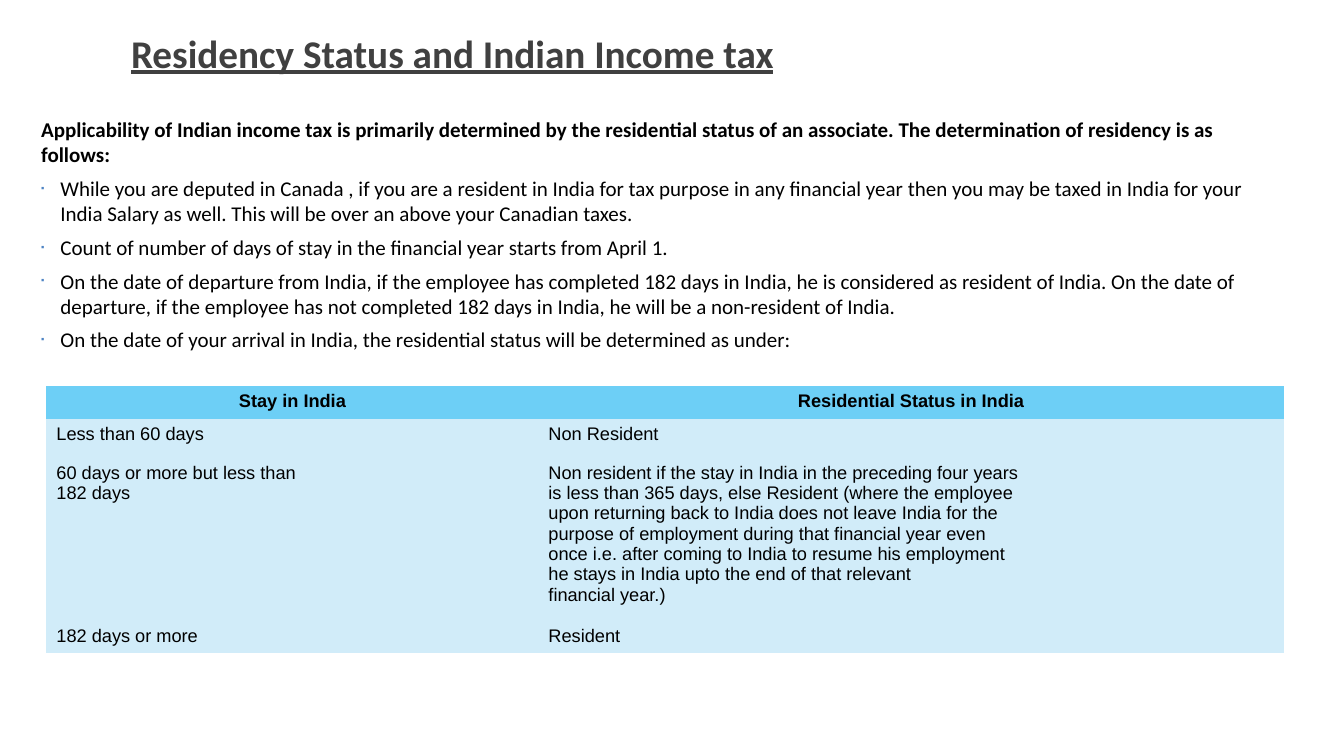
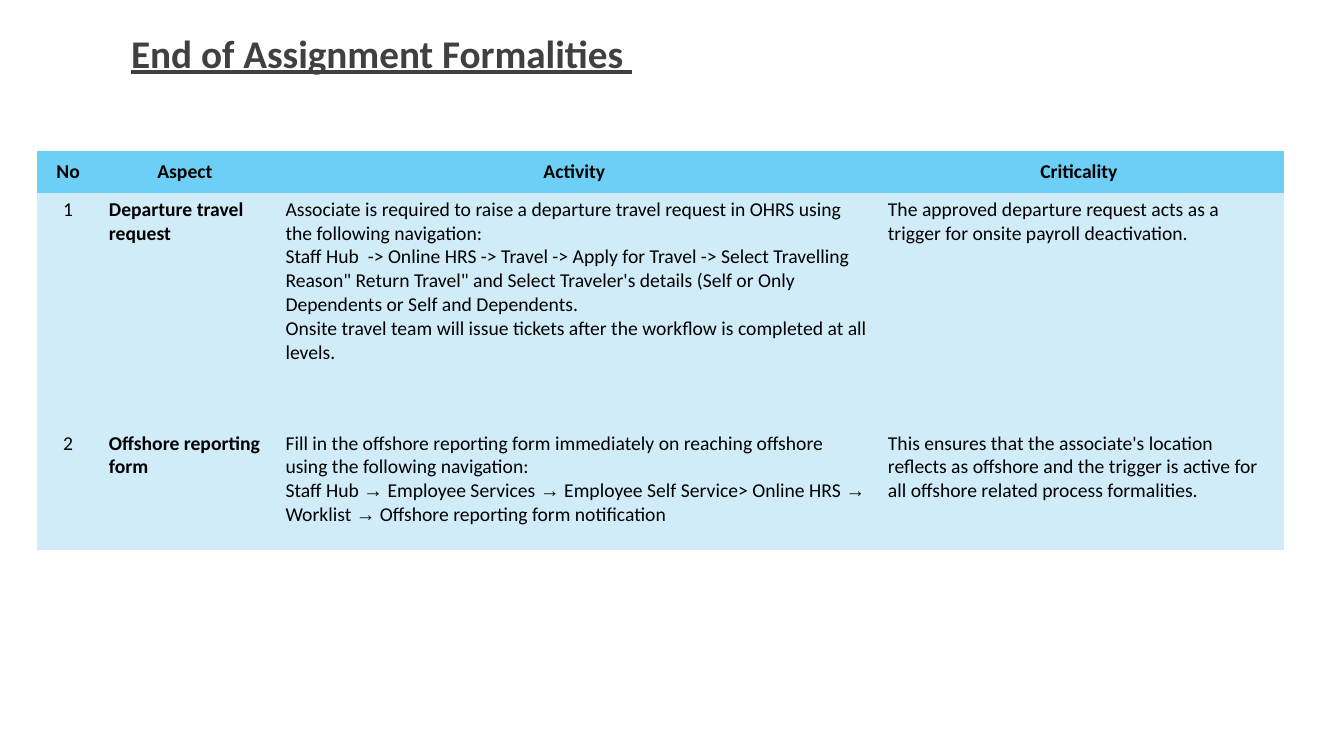
from dataclasses import dataclass

from lxml.etree import SubElement
from pptx import Presentation
from pptx.dml.color import RGBColor
from pptx.enum.text import MSO_ANCHOR, MSO_AUTO_SIZE, PP_ALIGN
from pptx.oxml.ns import qn
from pptx.util import Inches, Pt

# Shared look
TITLE_GREY = RGBColor(0x40, 0x40, 0x40)
BLACK = RGBColor(0, 0, 0)
BULLET_BLUE = RGBColor(0x4E, 0x84, 0xC4)
HEADER_BLUE = RGBColor(0x6D, 0xCF, 0xF6)
ROW_BLUE = RGBColor(0xD1, 0xEC, 0xF9)
BODY_FONT = "Calibri"
PLAIN_FONT = "Arial"
NO_GRID_STYLE = "{2D5ABB26-0587-4C30-8999-92F81FD0307C}"
ARROW = "\u2192"
TITLE_ONLY = 5

deck = Presentation()
deck.slide_width, deck.slide_height = Inches(13.33), Inches(7.5)


@dataclass
class Box:
    """A region, in percent of the slide's width and height."""
    left: float
    top: float
    width: float
    height: float

    def place(self):
        across, down = deck.slide_width / 100, deck.slide_height / 100
        return (int(self.left * across), int(self.top * down),
                int(self.width * across), int(self.height * down))


@dataclass
class Column:
    heading: str
    weight: float
    align: PP_ALIGN = PP_ALIGN.LEFT
    bold: bool = False


TITLE_BOX = Box(9, 4.13, 81.8, 8.67)


def style_font(font, size, name=BODY_FONT, color=BLACK, bold=False):
    font.size, font.name, font.bold = Pt(size), name, bold
    font.color.rgb = color


def add_page(title):
    page = deck.slides.add_slide(deck.slide_layouts[TITLE_ONLY])
    holder = page.shapes.title
    holder.left, holder.top, holder.width, holder.height = TITLE_BOX.place()
    frame = holder.text_frame
    frame.text = title
    frame.vertical_anchor = MSO_ANCHOR.TOP
    frame.auto_size = MSO_AUTO_SIZE.NONE
    para = frame.paragraphs[0]
    para.alignment, para.line_spacing = PP_ALIGN.LEFT, 0.85
    style_font(para.font, 28, color=TITLE_GREY, bold=True)
    para.font.underline = True
    return page


def add_bullet(para):
    properties = para._p.get_or_add_pPr()
    properties.set("marL", str(Inches(0.19)))
    properties.set("indent", str(-Inches(0.19)))
    color = SubElement(properties, qn("a:buClr"))
    SubElement(color, qn("a:srgbClr"), val=str(BULLET_BLUE))
    SubElement(properties, qn("a:buSzPct"), val="45000")
    SubElement(properties, qn("a:buFont"), typeface=PLAIN_FONT)
    SubElement(properties, qn("a:buChar"), char="\u25aa")


def add_bullet_text(page, box, lead, points):
    frame = page.shapes.add_textbox(*box.place()).text_frame
    frame.word_wrap = True
    frame.text = "\n".join([lead, *points])
    for index, para in enumerate(frame.paragraphs):
        if index:
            para.space_before = Pt(6)
            add_bullet(para)
        style_font(para.font, 15, bold=index == 0)


def write_spans(para, text):
    """Add the text, with its arrows in the plain font."""
    for index, part in enumerate(text.split(ARROW)):
        if index:
            span = para.add_run()
            span.text, span.font.name = ARROW, PLAIN_FONT
        para.add_run().text = part


def fill_cell(cell, text, fill, align, size, font, bold):
    cell.fill.solid()
    cell.fill.fore_color.rgb = fill
    frame = cell.text_frame
    for index, line in enumerate(text.split("\n")):
        para = frame.add_paragraph() if index else frame.paragraphs[0]
        para.alignment = align
        style_font(para.font, size, font, bold=bold)
        write_spans(para, line)


def add_table(page, box, columns, rows, row_weights, size, font,
              header_anchor=MSO_ANCHOR.TOP):
    left, top, width, height = box.place()
    table = page.shapes.add_table(len(rows) + 1, len(columns),
                                  left, top, width, height).table
    table.horz_banding = False
    table._tbl.tblPr.find(qn("a:tableStyleId")).text = NO_GRID_STYLE

    total = sum(column.weight for column in columns)
    for grid_column, column in zip(table.columns, columns):
        grid_column.width = int(width * column.weight / total)
    for grid_row, weight in zip(table.rows, row_weights):
        grid_row.height = int(height * weight / sum(row_weights))

    for position, column in enumerate(columns):
        header = table.cell(0, position)
        header.vertical_anchor = header_anchor
        fill_cell(header, column.heading, HEADER_BLUE, PP_ALIGN.CENTER,
                  size, font, True)
        for number, row in enumerate(rows, start=1):
            fill_cell(table.cell(number, position), row[position], ROW_BLUE,
                      column.align, size, font, column.bold)


def build_residency_page():
    page = add_page("Residency Status and Indian Income tax")
    add_bullet_text(
        page, Box(2.33, 14.8, 91.75, 34.27),
        "Applicability of Indian income tax is primarily determined by the "
        "residential status of an associate. The determination of residency "
        "is as follows:",
        ["While you are deputed in Canada , if you are a resident in India for "
         "tax purpose in any financial year then you may be taxed in India for "
         "your India Salary as well. This will be over an above your Canadian "
         "taxes. ",
         "Count of number of days of stay in the financial year starts from "
         "April 1.",
         "On the date of departure from India, if the employee has completed "
         "182 days in India, he is considered as resident of India. On the "
         "date of departure, if the employee has not completed 182 days in "
         "India, he will be a non-resident of India.",
         "On the date of your arrival in India, the residential status will "
         "be determined as under:"])
    columns = [Column("Stay in India", 4.88, PP_ALIGN.JUSTIFY),
               Column("Residential Status in India", 7.39, PP_ALIGN.JUSTIFY)]
    rows = [
        ("Less than 60 days", "Non Resident"),
        ("60 days or more but less than\n182 days",
         "Non resident if the stay in India in the preceding four years\n"
         "is less than 365 days, else Resident (where the employee\n"
         "upon returning back to India does not leave India for the\n"
         "purpose of employment during that financial year even\n"
         "once i.e. after coming to India to resume his employment\n"
         "he stays in India upto the end of that relevant\n"
         "financial year.)"),
        ("182 days or more ", "Resident"),
    ]
    add_table(page, Box(3.45, 51.07, 92.05, 35.2), columns, rows,
              [0.33, 0.38, 1.61, 0.32], 13, PLAIN_FONT)


def build_formalities_page():
    page = add_page("End of Assignment Formalities ")
    columns = [Column("No", 0.61, PP_ALIGN.CENTER),
               Column("Aspect ", 1.75, bold=True),
               Column("Activity ", 5.97),
               Column("Criticality ", 4.03)]
    rows = [
        ("1", "Departure travel request",
         "Associate is required to raise a departure travel request in OHRS "
         "using the following navigation: \n"
         "Staff Hub \u00a0-> Online HRS -> Travel -> Apply for Travel -> "
         "Select Travelling Reason\" Return Travel\" and Select Traveler's "
         "details (Self or Only Dependents or Self and Dependents.\n"
         "Onsite travel team will issue tickets after the workflow is "
         "completed at all levels.",
         "The approved departure request acts as a trigger for onsite payroll "
         "deactivation."),
        ("2", "Offshore reporting form",
         "Fill in the offshore reporting form immediately on reaching "
         "offshore using the following navigation: \n"
         f"Staff Hub {ARROW} Employee Services {ARROW} Employee Self Service> "
         f"Online HRS {ARROW} Worklist {ARROW} Offshore reporting form "
         "notification",
         "This ensures that the associate's location reflects as offshore and "
         "the trigger is active for all offshore related process "
         "formalities."),
    ]
    add_table(page, Box(2.78, 20, 92.8, 52.8), columns, rows,
              [0.41, 2.32, 1.23], 14, BODY_FONT, MSO_ANCHOR.MIDDLE)


build_residency_page()
build_formalities_page()
deck.save("out.pptx")
